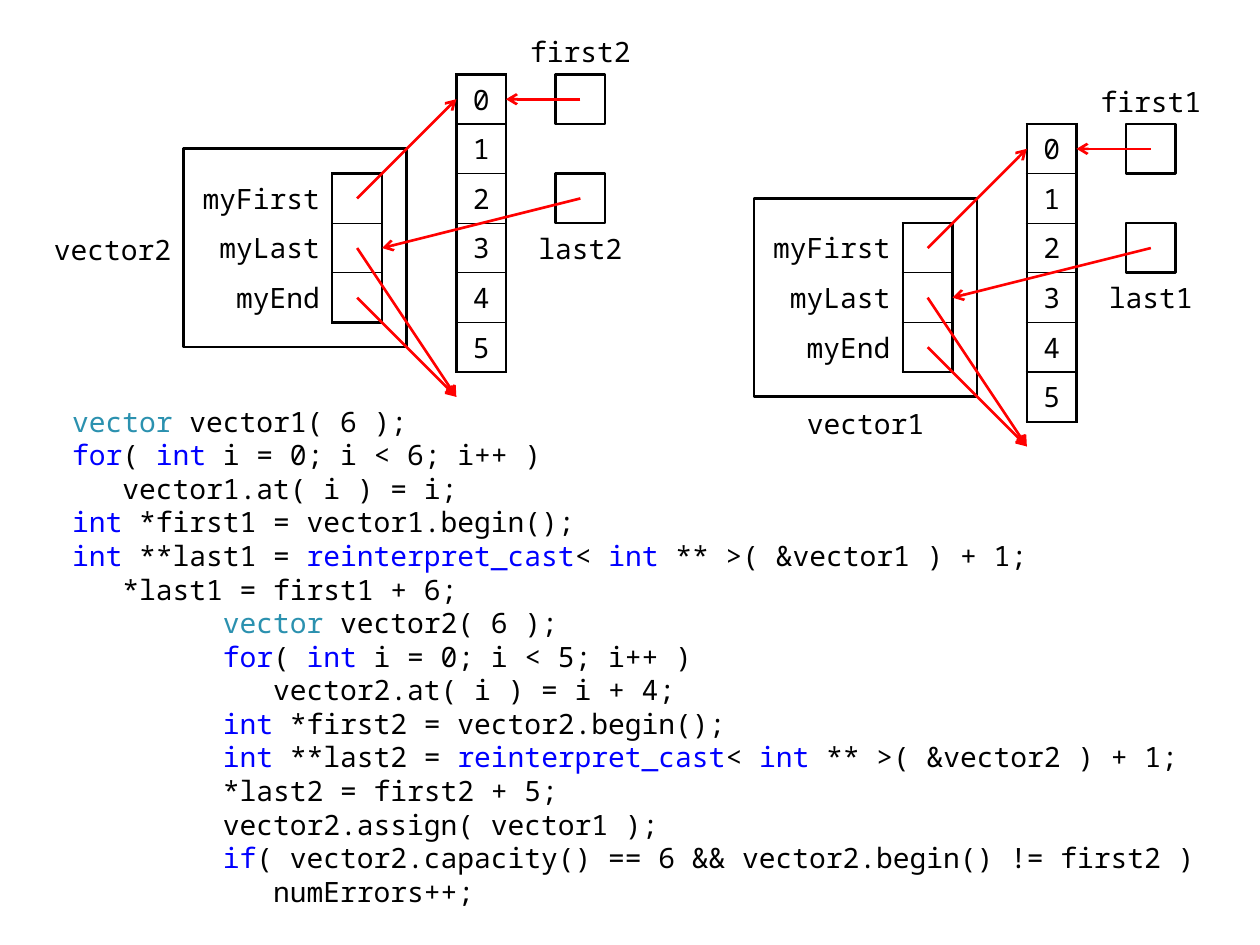
"""Build a slide showing two vectors in memory beside the code that makes them."""
from lxml.etree import SubElement
from pptx import Presentation
from pptx.dml.color import RGBColor
from pptx.enum.shapes import MSO_CONNECTOR, MSO_SHAPE
from pptx.enum.text import MSO_ANCHOR as Anchor, MSO_AUTO_SIZE, PP_ALIGN as Align
from pptx.oxml.ns import qn
from pptx.util import Cm, Pt

FONT = "Noto Sans Mono"
BLACK = RGBColor(0x00, 0x00, 0x00)
WHITE = RGBColor(0xFF, 0xFF, 0xFF)
RED = RGBColor(0xFF, 0x00, 0x00)
BLUE = RGBColor(0x00, 0x00, 0xFF)
TEAL = RGBColor(0x2B, 0x91, 0xAF)
THICK, THIN = 1.5, 0.75
NO_STYLE = "{2D5ABB26-0587-4C30-8999-92F81FD0307C}"

# Odd pieces between bars are highlighted.
CODE = [
    "|vector |vector1( 6 );",
    "|for|( |int| i = 0; i < 6; i++ )",
    "   vector1.at( i ) = i;",
    "|int| *first1 = vector1.begin();",
    "|int| **last1 = |reinterpret_cast|< |int| ** >( &vector1 ) + 1;",
    "   *last1 = first1 + 6;",
    "         |vector |vector2( 6 );",
    "         |for|( |int| i = 0; i < 5; i++ )",
    "            vector2.at( i ) = i + 4;",
    "         |int| *first2 = vector2.begin();",
    "         |int| **last2 = |reinterpret_cast|< |int| ** >( &vector2 ) + 1;",
    "         *last2 = first2 + 5;",
    "         vector2.assign( vector1 );",
    "         |if|( vector2.capacity() == 6 && vector2.begin() != first2 )",
    "            numErrors++;",
]
MEMBERS = ["myFirst", "myLast", "myEnd"]
ELEMENTS = ["0", "1", "2", "3", "4", "5"]
VECTORS = [
    {"number": 1, "origin": (15.2, 4), "label": (15.7, 8, 3.5), "align": Align.CENTER},
    {"number": 2, "origin": (3.7, 3), "label": (0.7, 4.5, 3), "align": Align.RIGHT},
]
ARROWS = [
    ((3.5, 1), (5.5, -1)),
    ((3.5, 3), (5.5, 5)),
    ((3.5, 2), (5.5, 5)),
    ((8, -1), (6.5, -1)),
    ((8, 1), (4, 2)),
]


def format_font(font, color=BLACK):
    font.name = FONT
    font.size = Pt(16)
    font.color.rgb = color


def add_code(slide):
    body = slide.placeholders[1]
    body.left, body.top, body.width, body.height = Cm(1.2), Cm(8.02), Cm(23.5), Cm(10.5)
    frame = body.text_frame
    frame.word_wrap = True
    frame.auto_size = MSO_AUTO_SIZE.NONE
    frame.vertical_anchor = Anchor.TOP
    for index, line in enumerate(CODE):
        paragraph = frame.paragraphs[0] if index == 0 else frame.add_paragraph()
        paragraph.line_spacing = Pt(19.2)
        paragraph.space_before = Pt(0)
        properties = paragraph._p.get_or_add_pPr()
        properties.set("marL", "0")
        properties.set("indent", "0")
        SubElement(properties, qn("a:buNone"))
        for position, piece in enumerate(line.split("|")):
            if piece:
                run = paragraph.add_run()
                run.text = piece
                highlight = TEAL if piece == "vector " else BLUE
                format_font(run.font, highlight if position % 2 else BLACK)


def add_label(slide, text, x, y, width, align=Align.CENTER, anchor=Anchor.BOTTOM):
    frame = slide.shapes.add_textbox(Cm(x), Cm(y), Cm(width), Cm(1)).text_frame
    frame.word_wrap = True
    frame.vertical_anchor = anchor
    if anchor == Anchor.MIDDLE:
        frame.margin_left = frame.margin_right = 0
    frame.text = text
    frame.paragraphs[0].alignment = align
    format_font(frame.paragraphs[0].runs[0].font)


def add_box(slide, x, y, width, height, filled=False):
    box = slide.shapes.add_shape(MSO_SHAPE.RECTANGLE, Cm(x), Cm(y), Cm(width), Cm(height))
    box.shadow.inherit = False
    if filled:
        box.fill.solid()
        box.fill.fore_color.rgb = WHITE
    else:
        box.fill.background()
    box.line.color.rgb = BLACK
    box.line.width = Pt(THICK)


def add_arrow(slide, x, y, start, end):
    points = [Cm(value) for value in (x + start[0], y + start[1], x + end[0], y + end[1])]
    arrow = slide.shapes.add_connector(MSO_CONNECTOR.STRAIGHT, *points)
    arrow.line.color.rgb = RED
    arrow.line.width = Pt(THICK)
    SubElement(arrow.line._get_or_add_ln(), qn("a:tailEnd"), type="arrow")
    SubElement(arrow._element.spPr, qn("a:effectLst"))


def set_borders(cell, top, bottom):
    properties = cell._tc.get_or_add_tcPr()
    for side, width in (("L", THICK), ("R", THICK), ("T", top), ("B", bottom)):
        line = SubElement(properties, qn(f"a:ln{side}"), w=str(Pt(width)))
        fill = SubElement(line, qn("a:solidFill"))
        SubElement(fill, qn("a:srgbClr"), val=str(BLACK))


def add_table(slide, rows, x, y, widths, align, margins):
    shape = slide.shapes.add_table(
        len(rows), len(widths), Cm(x), Cm(y), Cm(sum(widths)), Cm(len(rows)))
    table = shape.table
    table.first_row = table.horz_banding = False
    table._tbl.tblPr.find(qn("a:tableStyleId")).text = NO_STYLE
    for column, width in zip(table.columns, widths):
        column.width = Cm(width)
    last = len(rows) - 1
    for index, text in enumerate(rows):
        table.rows[index].height = Cm(1)
        set_borders(table.cell(index, len(widths) - 1),
                    THICK if index == 0 else THIN, THICK if index == last else THIN)
        for cell in table.rows[index].cells:
            cell.fill.background()
            cell.vertical_anchor = Anchor.MIDDLE
            cell.margin_left, cell.margin_top, cell.margin_right, cell.margin_bottom = map(Cm, margins)
        cell = table.cell(index, 0)
        cell.text = text
        paragraph = cell.text_frame.paragraphs[0]
        paragraph.alignment = align
        format_font(paragraph.runs[0].font)


def add_vector(slide, number, origin, label, align):
    x, y = origin
    add_box(slide, x, y, 4.5, 4, filled=True)
    add_table(slide, MEMBERS, x, y + 0.5, [3, 1], Align.RIGHT, (0.1, 0.1, 0.25, 0.1))
    add_table(slide, ELEMENTS, x + 5.5, y - 1.5, [1], Align.CENTER, (0.25, 0, 0.25, 0))
    add_label(slide, f"vector{number}", *label, align)
    add_label(slide, f"first{number}", x + 6.5, y - 2.5, 3)
    add_label(slide, f"last{number}", x + 7, y + 1.5, 2, anchor=Anchor.MIDDLE)
    for offset in (-1.5, 0.5):
        add_box(slide, x + 7.5, y + offset, 1, 1)
    for start, end in ARROWS:
        add_arrow(slide, x, y, start, end)


def main():
    presentation = Presentation()
    presentation.slide_width, presentation.slide_height = Cm(25.4), Cm(19.05)
    slide = presentation.slides.add_slide(presentation.slide_layouts[1])
    title = slide.shapes.title._element
    title.getparent().remove(title)
    add_code(slide)
    for vector in VECTORS:
        add_vector(slide, **vector)
    presentation.save("out.pptx")


if __name__ == "__main__":
    main()
